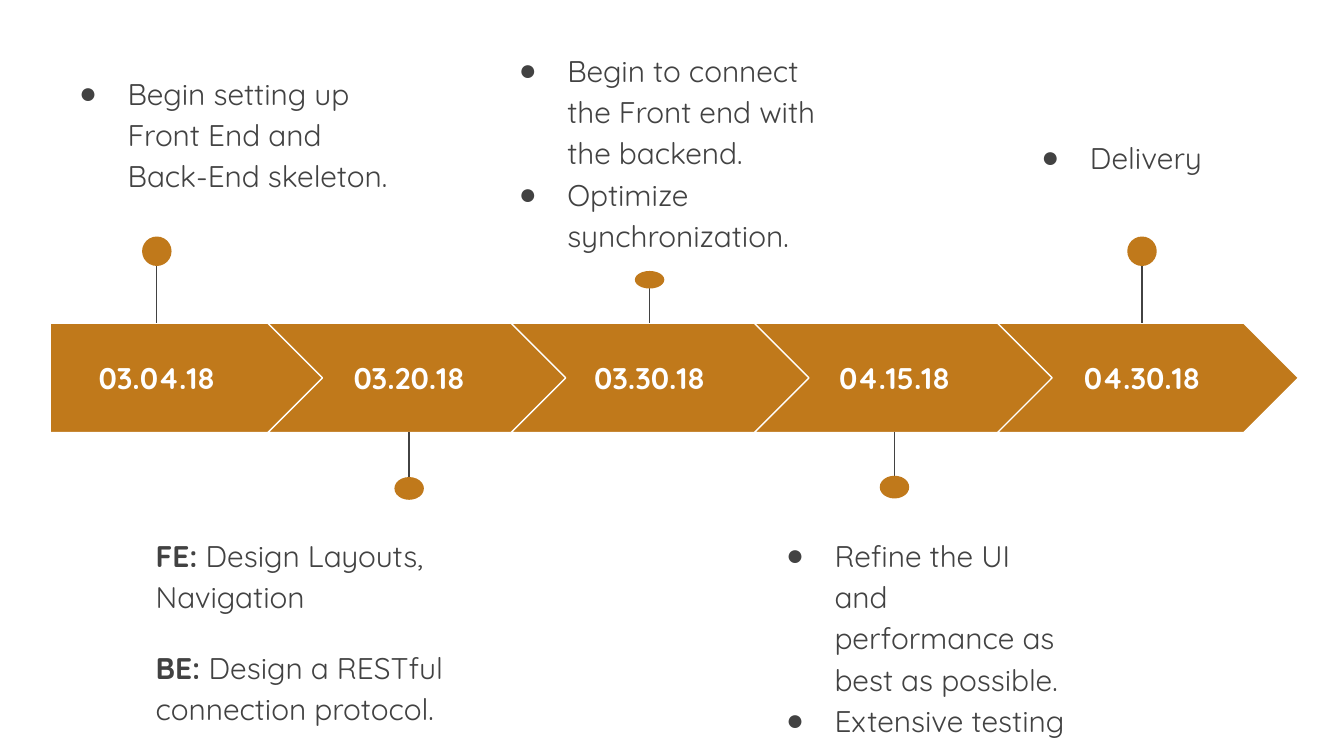
from lxml.etree import SubElement
from pptx import Presentation
from pptx.dml.color import RGBColor
from pptx.enum.shapes import MSO_CONNECTOR as CONN, MSO_SHAPE as SHAPE
from pptx.enum.text import MSO_ANCHOR as ANCHOR, MSO_AUTO_SIZE as AUTO, PP_ALIGN as ALIGN
from pptx.oxml.ns import qn
from pptx.util import Pt

OCHRE = RGBColor(0xC0, 0x79, 0x1B)
DARK = RGBColor(0x42, 0x42, 0x42)
WHITE = RGBColor(0xFF, 0xFF, 0xFF)
FONT = "Quicksand"
BAND_LEFT, BAND_TOP, BAND_H = 26.9, 173.1, 58.6
FIRST_W, ARROW_W, ARROW_STEP = 147.3, 161.2, 130.3
ARROW_OFFSET = 116.6
BALL_W = 15.8

# date, centre x, (ball top, ball height), note box, note paragraphs as (bold, plain)
MILESTONES = [
    ("03.04.18", 84, (126.7, 15.8), (25.2, 30.4, 190.8, 89.3),
     [("", "Begin setting up Front End and Back-End skeleton.")]),
    ("03.20.18", 219.2, (255.6, 12.2), (76.3, 278, 197.3, 119.5),
     [("FE:", " Design Layouts, Navigation"),
      ("BE: ", "Design a RESTful connection protocol.")]),
    ("03.30.18", 348, (145.2, 9.4), (260.7, 18.2, 190.8, 119.5),
     [("", "Begin to connect the Front end with the backend."),
      ("", "Optimize synchronization.")]),
    ("04.15.18", 479.2, (254.9, 12.2), (403.9, 278, 176.4, 89.3),
     [("", "Refine the UI and performance as best as possible."),
      ("", "Extensive testing")]),
    ("04.30.18", 611.8, (126.7, 15.8), (540.7, 64.8, 161.3, 36.7),
     [("", "Delivery")]),
]


def place(sp, x, y, w, h):
    sp.left, sp.top, sp.width, sp.height = Pt(x), Pt(y), Pt(w), Pt(h)


def write(sp, paragraphs, color=DARK, align=ALIGN.LEFT, anchor=ANCHOR.TOP,
          bullet=False, spacing=1.15, gap=0):
    """Fill a shape with paragraphs of (bold, plain) text."""
    tf = sp.text_frame
    tf.word_wrap, tf.auto_size, tf.vertical_anchor = True, AUTO.NONE, anchor
    tf.margin_left = tf.margin_right = tf.margin_top = tf.margin_bottom = Pt(7.2)
    for i, parts in enumerate(paragraphs):
        p = tf.paragraphs[0] if i == 0 else tf.add_paragraph()
        p.alignment, p.line_spacing = align, spacing
        p.space_before = Pt(gap if i else 0)
        for text, bold in zip(parts, (True, False)):
            if text:
                r = p.add_run()
                r.text = text
                r.font.name, r.font.size, r.font.bold = FONT, Pt(16), bold
                r.font.color.rgb = color
        if bullet:
            add_bullet(p)


def add_bullet(p):
    pPr = p._p.get_or_add_pPr()
    pPr.set("marL", str(Pt(36)))
    pPr.set("indent", str(Pt(-26)))
    clr = SubElement(pPr, qn("a:buClr"))
    SubElement(clr, qn("a:srgbClr")).set("val", str(DARK))
    SubElement(pPr, qn("a:buChar")).set("char", "●")


def add_solid(slide, kind, x, y, w, h, line=None):
    sp = slide.shapes.add_shape(kind, Pt(x), Pt(y), Pt(w), Pt(h))
    sp.shadow.inherit = False
    sp.fill.solid()
    sp.fill.fore_color.rgb = OCHRE
    if line is None:
        sp.line.fill.background()
    else:
        sp.line.color.rgb, sp.line.width = line, Pt(0.75)


def add_band(slide, x, y, h, count):
    """Draw the row of arrows, the first one with a flat left end."""
    add_solid(slide, SHAPE.PENTAGON, x, y, FIRST_W, h, WHITE)
    for i in range(count - 1):
        left = x + ARROW_OFFSET + i * ARROW_STEP
        add_solid(slide, SHAPE.CHEVRON, left, y, ARROW_W, h, WHITE)


def add_pin(slide, x, top, height):
    """Join a ball centred on x to the nearer edge of the band."""
    middle = top + height / 2
    edge = BAND_TOP if middle < BAND_TOP else BAND_TOP + BAND_H
    stem = slide.shapes.add_connector(CONN.STRAIGHT, Pt(x), Pt(middle), Pt(x), Pt(edge))
    stem.line.color.rgb, stem.line.width = DARK, Pt(0.75)
    SubElement(stem._element.spPr, qn("a:effectLst"))
    add_solid(slide, SHAPE.OVAL, x - BALL_W / 2, top, BALL_W, height)


def add_date(slide, date, x, y, w=104, h=36.7):
    sp = slide.shapes.add_textbox(Pt(x - w / 2), Pt(y - h / 2), Pt(w), Pt(h))
    write(sp, [(date, "")], WHITE, ALIGN.CENTER, ANCHOR.MIDDLE, spacing=1)


def add_note(slide, box, paragraphs, bodies):
    """Put lists in body placeholders and labelled lines in a text box."""
    labelled = any(bold for bold, _ in paragraphs)
    sp = slide.shapes.add_textbox(0, 0, 0, 0) if labelled else next(bodies)
    place(sp, *box)
    write(sp, paragraphs, bullet=not labelled, gap=16 if labelled else 0)


def add_timeline(slide):
    bodies = iter([ph for ph in slide.placeholders if ph.placeholder_format.idx in (1, 2, 3, 4)])
    add_band(slide, BAND_LEFT, BAND_TOP, BAND_H, len(MILESTONES))
    for date, x, ball, box, paragraphs in MILESTONES:
        add_date(slide, date, x, BAND_TOP + BAND_H / 2)
        add_pin(slide, x, *ball)
        add_note(slide, box, paragraphs, bodies)


def main():
    prs = Presentation()
    prs.slide_width, prs.slide_height = Pt(720), Pt(405)
    slide = prs.slides.add_slide(prs.slide_layouts.get_by_name("Comparison"))
    add_timeline(slide)
    for ph in list(slide.placeholders):
        if not ph.has_text_frame or not ph.text_frame.text:
            ph._element.getparent().remove(ph._element)
    prs.save("out.pptx")


if __name__ == "__main__":
    main()
